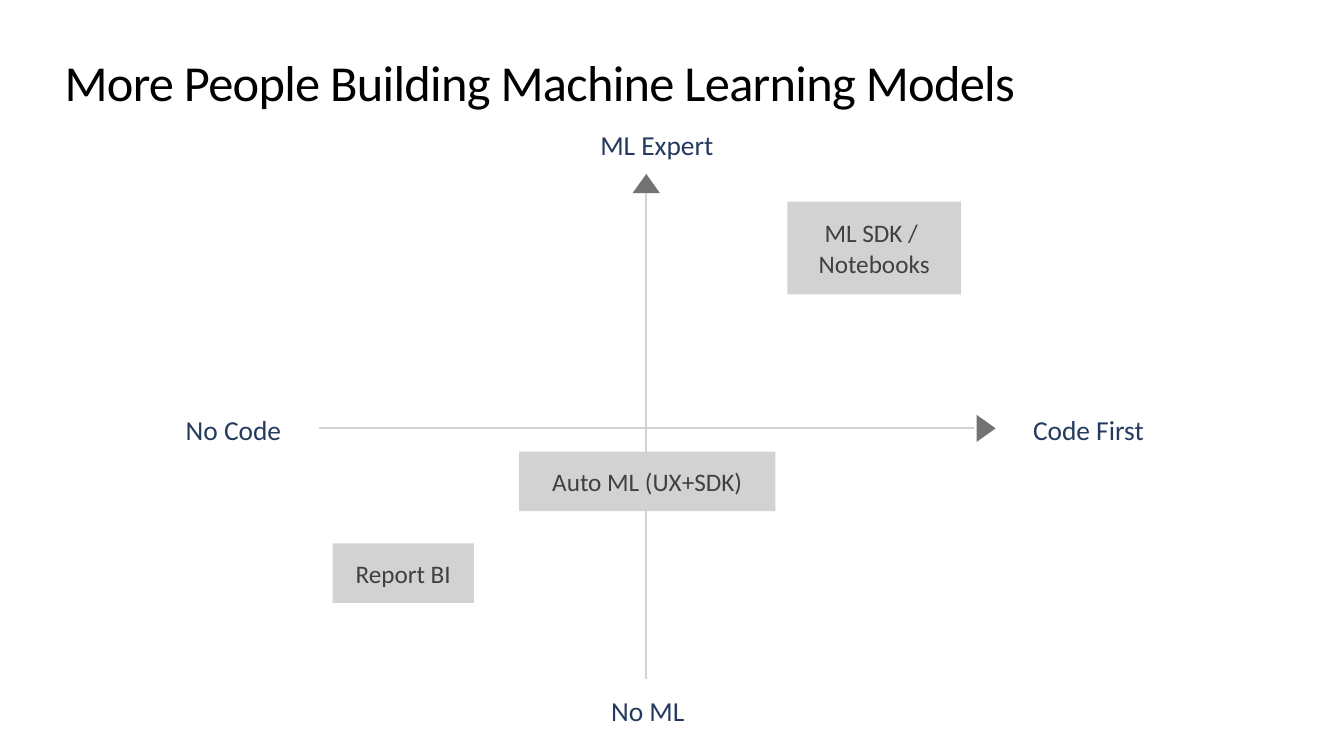
import pptx
import pptx.dml.color
import pptx.enum.shapes
import pptx.enum.text
import pptx.oxml.ns
import pptx.util
from dataclasses import dataclass
from pptx.util import Inches

SHAPE = pptx.enum.shapes.MSO_SHAPE
ALIGN = pptx.enum.text.PP_ALIGN
ANCHOR = pptx.enum.text.MSO_ANCHOR


@dataclass(frozen=True)
class Theme:
    font: str = "Calibri"
    title: str = "000000"
    label: str = "243A5E"
    card_text: str = "404040"
    pale: str = "D2D2D2"
    arrow: str = "737373"
    title_size: float = 36
    label_size: float = 19.6
    card_size: float = 18
    line_width: float = 1.5


class SlideBuilder:
    def __init__(self, prs, theme):
        self.theme = theme
        self.s = prs.slides.add_slide(prs.slide_layouts[5])

    def color(self, value):
        return pptx.dml.color.RGBColor.from_string(value)

    def set_text(self, sp, text, size, color, align=ALIGN.CENTER, anchor=ANCHOR.TOP):
        tf = sp.text_frame
        tf.word_wrap = True
        tf.auto_size = pptx.enum.text.MSO_AUTO_SIZE.NONE
        tf.vertical_anchor = anchor
        tf.margin_left = tf.margin_right = tf.margin_top = tf.margin_bottom = 0
        tf.text = text
        for p in tf.paragraphs:
            p.alignment = align
            for r in p.runs:
                r.font.name = self.theme.font
                r.font.size = pptx.util.Pt(size)
                r.font.color.rgb = self.color(color)

    def title(self, text, x, y, w, h):
        sp = self.s.shapes.title
        sp.left, sp.top, sp.width, sp.height = map(Inches, (x, y, w, h))
        self.set_text(sp, text, self.theme.title_size, self.theme.title, ALIGN.LEFT)
        # Tighten the letter spacing by half a point
        sp.text_frame.paragraphs[0].runs[0].font._element.set("spc", "-50")

    def label(self, text, x, y, w=1.69, h=0.33):
        sp = self.s.shapes.add_textbox(*map(Inches, (x, y, w, h)))
        self.set_text(sp, text, self.theme.label_size, self.theme.label)

    def shape(self, kind, x, y, w, h, fill):
        sp = self.s.shapes.add_shape(kind, *map(Inches, (x, y, w, h)))
        sp.shadow.inherit = False
        sp.fill.solid()
        sp.fill.fore_color.rgb = self.color(fill)
        sp.line.fill.background()
        return sp

    def card(self, text, x, y, w, h=0.59):
        sp = self.shape(SHAPE.RECTANGLE, x, y, w, h, self.theme.pale)
        self.set_text(sp, text, self.theme.card_size, self.theme.card_text,
                      anchor=ANCHOR.MIDDLE)

    def axis(self, start, end, head_center, rotation=0):
        line = self.s.shapes.add_connector(
            pptx.enum.shapes.MSO_CONNECTOR.STRAIGHT, *map(Inches, start + end))
        line.line.color.rgb = self.color(self.theme.pale)
        line.line.width = pptx.util.Pt(self.theme.line_width)
        props = line._element.spPr
        props.append(props.makeelement(pptx.oxml.ns.qn("a:effectLst"), {}))
        w, h = 0.27, 0.19
        cx, cy = head_center
        head = self.shape(SHAPE.ISOSCELES_TRIANGLE, cx - w / 2, cy - h / 2, w, h,
                          self.theme.arrow)
        head.rotation = rotation


def main():
    prs = pptx.Presentation()
    prs.slide_width, prs.slide_height = Inches(13.33), Inches(7.5)
    b = SlideBuilder(prs, Theme())
    b.title("More People Building Machine Learning Models", 0.64, 0.51, 12.05, 0.61)

    # Axes crossing at the centre of the map
    cx, cy = 6.41, 4.25
    b.axis((cx, 6.74), (cx, 1.74), (cx, 1.82))
    b.axis((3.16, cy), (9.66, cy), (9.78, cy), rotation=90)

    # Axis end labels
    b.label("ML Expert", 5.63, 1.27, w=1.77)
    b.label("No ML", 5.58, 6.89)
    b.label("No Code", 1.47, 4.1)
    b.label("Code First", 9.95, 4.1)

    # Tools placed on the map
    b.card("ML SDK / \nNotebooks", 7.81, 2, 1.72, h=0.92)
    b.card("Report BI", 3.3, 5.39, 1.4)
    b.card("Auto ML (UX+SDK)", 5.15, 4.48, 2.54)

    prs.save("out.pptx")


if __name__ == "__main__":
    main()
